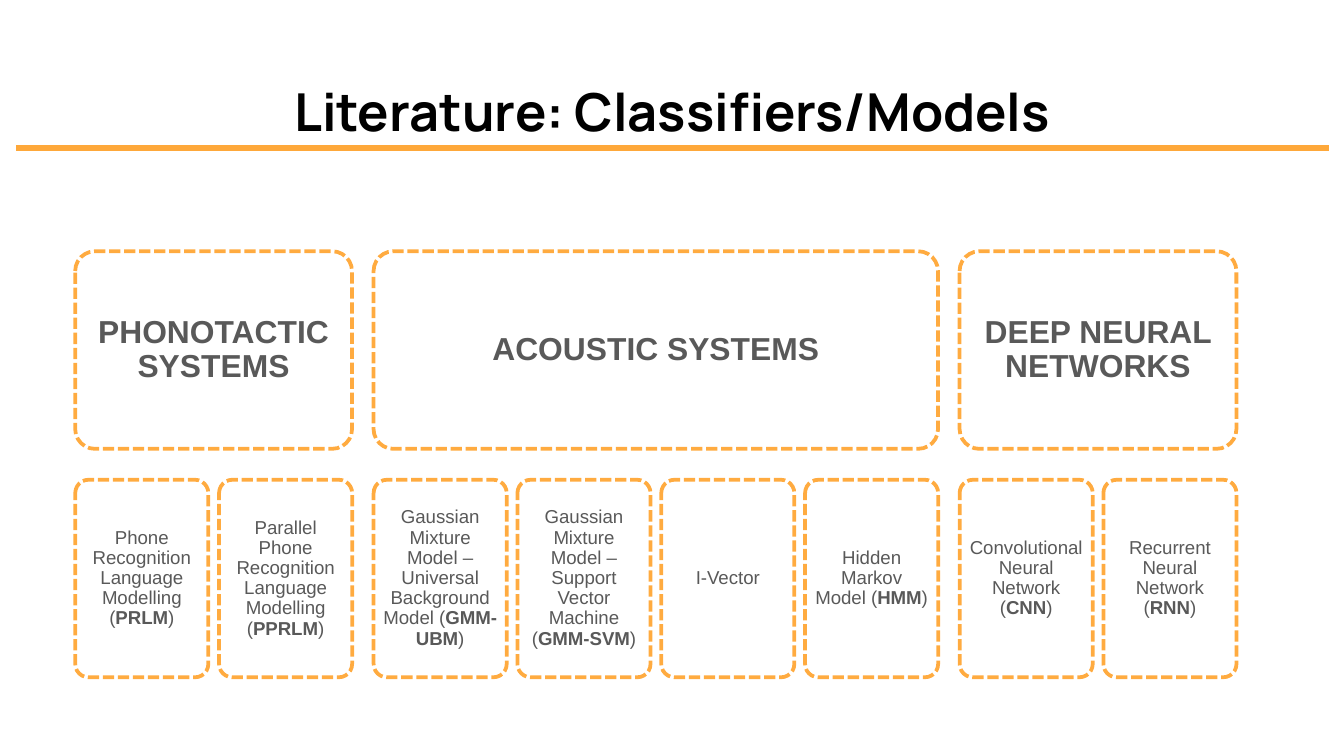
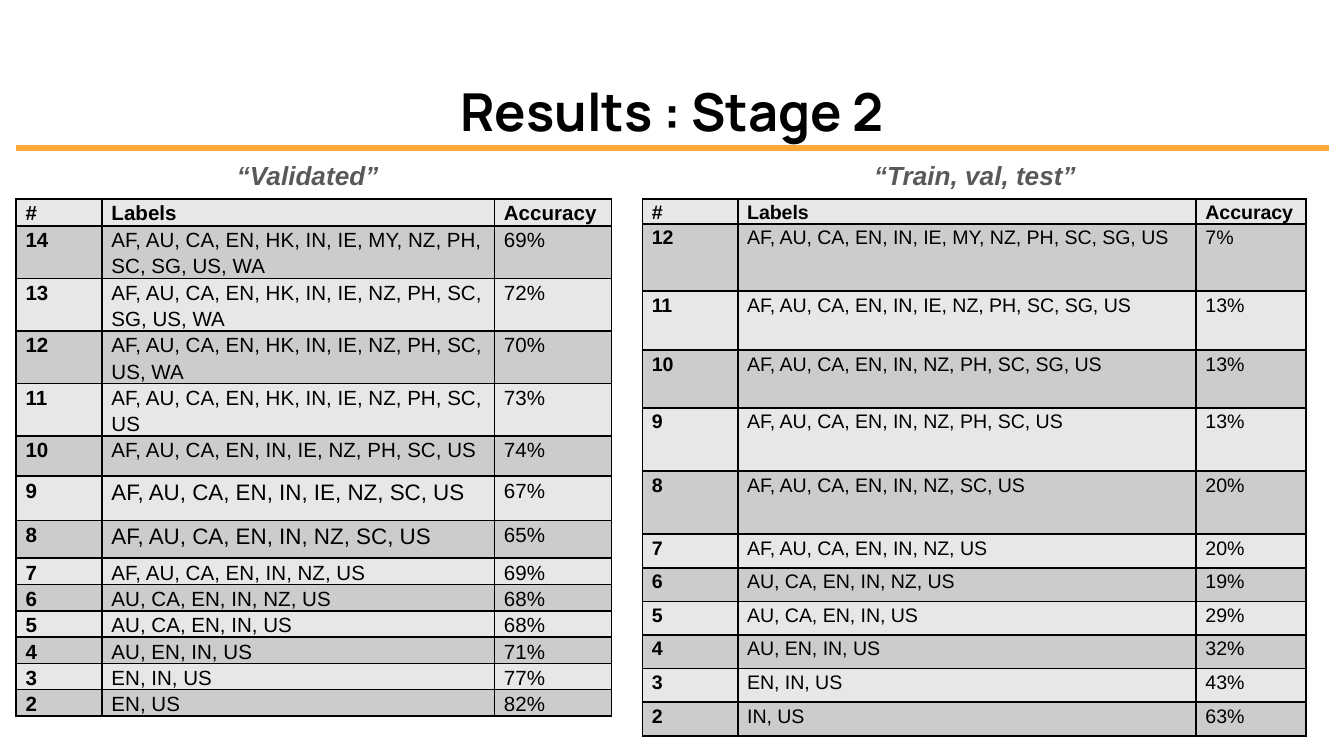
from dataclasses import dataclass

from lxml import etree
from pptx import Presentation
from pptx.dml.color import RGBColor
from pptx.enum.dml import MSO_LINE
from pptx.enum.shapes import MSO_CONNECTOR, MSO_SHAPE
from pptx.enum.text import MSO_ANCHOR, MSO_AUTO_SIZE, PP_ALIGN
from pptx.oxml.ns import qn
from pptx.util import Inches, Pt

CENTER, JUSTIFY, LEFT = PP_ALIGN.CENTER, PP_ALIGN.JUSTIFY, PP_ALIGN.LEFT
TOP, MIDDLE = MSO_ANCHOR.TOP, MSO_ANCHOR.MIDDLE
NO_FIT, GROW = MSO_AUTO_SIZE.NONE, MSO_AUTO_SIZE.SHAPE_TO_FIT_TEXT
ROUNDED, STRAIGHT = MSO_SHAPE.ROUNDED_RECTANGLE, MSO_CONNECTOR.STRAIGHT
DASH = MSO_LINE.SQUARE_DOT
TITLE_ONLY = 5


@dataclass(frozen=True)
class Theme:
    # Colours
    black: str = "000000"
    white: str = "FFFFFF"
    grey: str = "595959"
    rule: str = "FEA83A"
    box_line: str = "FFAB40"
    bands: tuple = ("E7E7E7", "CCCCCC")
    # Fonts and type sizes
    title_font: str = "Manrope"
    body_font: str = "Arial"
    title_size: float = 28
    group_size: float = 17
    model_size: float = 10
    caption_size: float = 14


THEME = Theme()

# Slide 1: each group of classifiers with its models (name, abbreviation)
GROUPS = [
    ("PHONOTACTIC SYSTEMS", [
        ("Phone Recognition Language Modelling", "PRLM"),
        ("Parallel Phone Recognition Language Modelling", "PPRLM"),
    ]),
    ("ACOUSTIC SYSTEMS", [
        ("Gaussian Mixture Model – Universal Background Model", "GMM-UBM"),
        ("Gaussian Mixture Model – Support Vector Machine", "GMM-SVM"),
        ("I-Vector", None),
        ("Hidden Markov Model", "HMM"),
    ]),
    ("DEEP NEURAL NETWORKS", [
        ("Convolutional Neural Network", "CNN"),
        ("Recurrent Neural Network", "RNN"),
    ]),
]

# Slide 2: labels, accuracy, row height
HEADER = ("#", "Labels", "Accuracy")
VALIDATED = [
    ("AF, AU, CA, EN, HK, IN, IE, MY, NZ, PH, SC, SG, US, WA", "69%", 0.35),
    ("AF, AU, CA, EN, HK, IN, IE, NZ, PH, SC, SG, US, WA", "72%", 0.35),
    ("AF, AU, CA, EN, HK, IN, IE, NZ, PH, SC, US, WA", "70%", 0.35),
    ("AF, AU, CA, EN, HK, IN, IE, NZ, PH, SC, US", "73%", 0.35),
    ("AF, AU, CA, EN, IN, IE, NZ, PH, SC, US", "74%", 0.3),
    ("AF, AU, CA, EN, IN, IE, NZ, SC, US", "67%", 0.33),
    ("AF, AU, CA, EN, IN, NZ, SC, US", "65%", 0.28),
    ("AF, AU, CA, EN, IN, NZ, US", "69%", 0.17),
    ("AU, CA, EN, IN, NZ, US", "68%", 0.17),
    ("AU, CA, EN, IN, US", "68%", 0.17),
    ("AU, EN, IN, US", "71%", 0.17),
    ("EN, IN, US", "77%", 0.17),
    ("EN, US", "82%", 0.17),
]
TRAIN_VAL_TEST = [
    ("AF, AU, CA, EN, IN, IE, MY, NZ, PH, SC, SG, US", "7%", 0.5),
    ("AF, AU, CA, EN, IN, IE, NZ, PH, SC, SG, US", "13%", 0.44),
    ("AF, AU, CA, EN, IN, NZ, PH, SC, SG, US", "13%", 0.43),
    ("AF, AU, CA, EN, IN, NZ, PH, SC, US", "13%", 0.47),
    ("AF, AU, CA, EN, IN, NZ, SC, US", "20%", 0.47),
    ("AF, AU, CA, EN, IN, NZ, US", "20%", 0.25),
    ("AU, CA, EN, IN, NZ, US", "19%", 0.25),
    ("AU, CA, EN, IN, US", "29%", 0.25),
    ("AU, EN, IN, US", "32%", 0.25),
    ("EN, IN, US", "43%", 0.25),
    ("IN, US", "63%", 0.25),
]


def rgb(color):
    return RGBColor.from_string(color)


def set_attrs(target, **values):
    for name, value in values.items():
        setattr(target, name, value)


def set_margins(target, x, y):
    set_attrs(target, margin_left=Inches(x), margin_right=Inches(x),
              margin_top=Inches(y), margin_bottom=Inches(y))


def add_run(p, text, size, color, font=THEME.body_font, bold=False, italic=False):
    r = p.add_run()
    r.text = text
    set_attrs(r.font, size=Pt(size), name=font, bold=bold, italic=italic)
    r.font.color.rgb = rgb(color)


# Shared title and rule
def add_titled_slide(prs, title):
    s = prs.slides.add_slide(prs.slide_layouts[TITLE_ONLY])
    sp = s.shapes.title
    set_attrs(sp, left=Inches(0.34), top=Inches(0.49),
              width=Inches(9.32), height=Inches(1.07))
    tf = sp.text_frame
    set_attrs(tf, word_wrap=True, auto_size=NO_FIT, vertical_anchor=TOP)
    set_margins(tf, 0.1, 0.1)
    p = tf.paragraphs[0]
    p.alignment = CENTER
    add_run(p, title, THEME.title_size, THEME.black, THEME.title_font, bold=True)

    rule = s.shapes.add_connector(STRAIGHT, Inches(0.12), Inches(1.1),
                                  Inches(9.89), Inches(1.1))
    rule.line.color.rgb = rgb(THEME.rule)
    rule.line.width = Pt(3)
    etree.SubElement(rule.element.spPr, qn("a:effectLst"))
    return s


# Dashed box holding runs of (text, bold)
def add_box(s, x, y, w, h, runs, size, margin):
    sp = s.shapes.add_shape(ROUNDED, Inches(x), Inches(y), Inches(w), Inches(h))
    sp.adjustments[0] = 0.1
    sp.shadow.inherit = False
    sp.fill.solid()
    sp.fill.fore_color.rgb = rgb(THEME.white)
    sp.line.color.rgb = rgb(THEME.box_line)
    set_attrs(sp.line, width=Pt(2), dash_style=DASH)
    tf = sp.text_frame
    set_attrs(tf, word_wrap=True, vertical_anchor=MIDDLE)
    set_margins(tf, margin, margin)
    p = tf.paragraphs[0]
    set_attrs(p, alignment=CENTER, line_spacing=0.9)
    for text, bold in runs:
        add_run(p, text, size, THEME.grey, bold=bold)


def add_caption(s, x, w, text):
    sp = s.shapes.add_textbox(Inches(x), Inches(1.14), Inches(w), Inches(0.34))
    tf = sp.text_frame
    set_attrs(tf, word_wrap=False, auto_size=GROW)
    p = tf.paragraphs[0]
    p.alignment = CENTER
    add_run(p, text, THEME.caption_size, THEME.grey, bold=True, italic=True)


def add_borders(cell):
    tc_pr = cell._tc.get_or_add_tcPr()
    for i, side in enumerate(("a:lnL", "a:lnR", "a:lnT", "a:lnB")):
        ln = etree.Element(qn(side), w=str(Pt(1)))
        fill = etree.SubElement(ln, qn("a:solidFill"))
        etree.SubElement(fill, qn("a:srgbClr"), val=THEME.black)
        tc_pr.insert(i, ln)


def fill_cell(cell, text, size, bold, align, band):
    cell.fill.solid()
    cell.fill.fore_color.rgb = rgb(band)
    set_margins(cell, 0.07, 0)
    cell.vertical_anchor = TOP
    p = cell.text_frame.paragraphs[0]
    set_attrs(p, alignment=align, line_spacing=1.15)
    add_run(p, text, size, THEME.black, bold=bold)
    add_borders(cell)


# Accuracy table; the first column counts the labels in its row
def add_results(s, x, widths, header_height, results, size, align, label_sizes=None):
    label_sizes = label_sizes or {}
    heights = [header_height] + [height for _, _, height in results]
    rows = [HEADER] + [(str(len(labels.split(", "))), labels, accuracy)
                       for labels, accuracy, _ in results]
    table = s.shapes.add_table(len(rows), len(widths), Inches(x), Inches(1.48),
                               Inches(sum(widths)), Inches(sum(heights))).table
    set_attrs(table, first_row=False, horz_banding=False)
    for column, width in zip(table.columns, widths):
        column.width = Inches(width)
    for i, (row, height) in enumerate(zip(rows, heights)):
        table.rows[i].height = Inches(height)
        for j, text in enumerate(row):
            cell_size = label_sizes.get(row[0], size) if j == 1 else size
            fill_cell(table.cell(i, j), text, cell_size, i == 0 or j == 0,
                      align if i else LEFT, THEME.bands[i % 2])


def build_classifiers(prs):
    s = add_titled_slide(prs, "Literature: Classifiers/Models")
    model_w, model_gap, group_gap = 0.99, 0.08, 0.16
    box_h, group_y, model_y = 1.47, 1.87, 3.57
    x = 0.56
    for group, models in GROUPS:
        group_w = len(models) * (model_w + model_gap) - model_gap
        add_box(s, x, group_y, group_w, box_h, [(group, True)],
                THEME.group_size, 0.07)
        for i, (name, short) in enumerate(models):
            runs = [(name, False)]
            if short:
                runs = [(name + " (", False), (short, True), (")", False)]
            add_box(s, x + i * (model_w + model_gap), model_y, model_w, box_h,
                    runs, THEME.model_size, 0.04)
        x += group_w + group_gap


def build_results(prs):
    s = add_titled_slide(prs, "Results : Stage 2")
    add_results(s, 0.12, (0.64, 2.92, 0.87), 0.2, VALIDATED, 11, LEFT,
                {"9": 12, "8": 12})
    add_results(s, 4.78, (0.71, 3.41, 0.82), 0.17, TRAIN_VAL_TEST, 10.5, JUSTIFY)
    add_caption(s, 1.66, 1.26, "“Validated”")
    add_caption(s, 6.4, 1.71, "“Train, val, test”")


def main():
    prs = Presentation()
    # Widescreen, 16:9
    set_attrs(prs, slide_width=Inches(10), slide_height=Inches(10 * 9 / 16))
    build_classifiers(prs)
    build_results(prs)
    prs.save("out.pptx")


if __name__ == "__main__":
    main()
